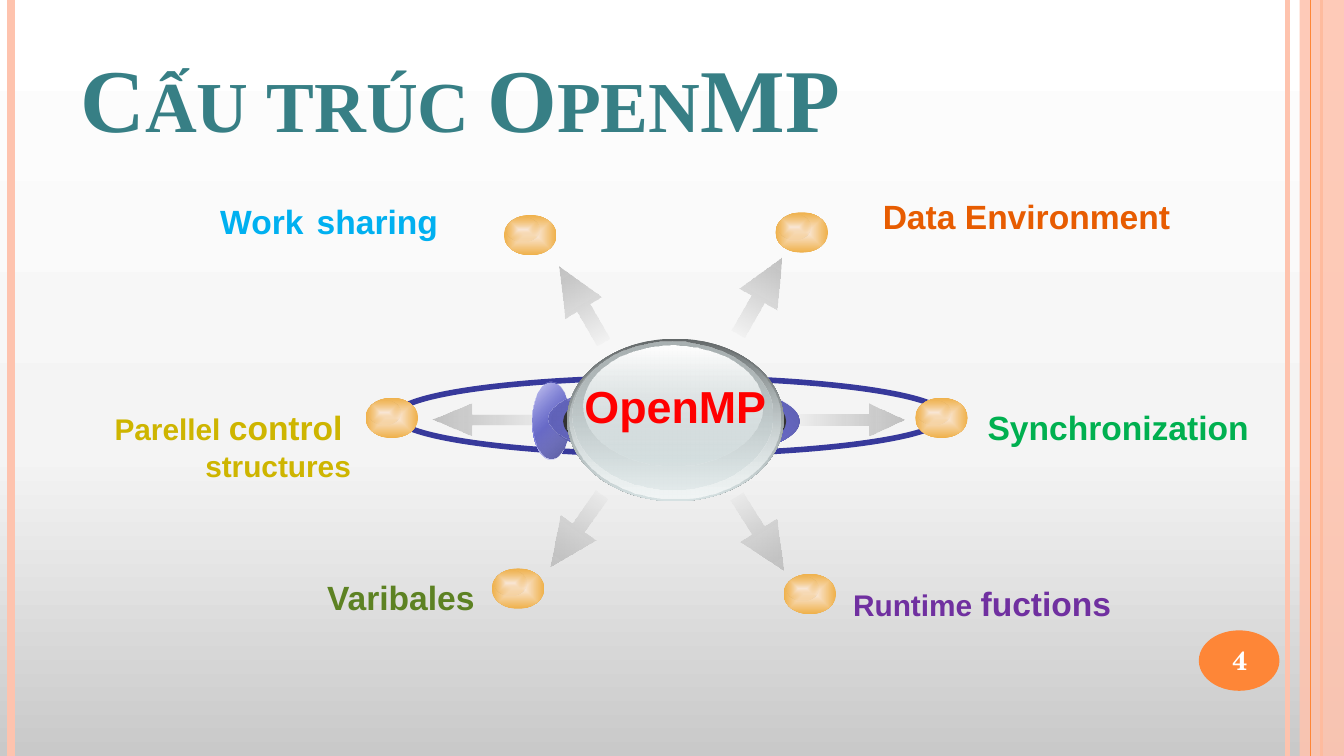
from lxml.etree import SubElement
from pptx import Presentation
from pptx.dml.color import RGBColor
from pptx.enum.shapes import MSO_CONNECTOR, MSO_SHAPE
from pptx.enum.text import MSO_ANCHOR, PP_ALIGN
from pptx.oxml.ns import qn
from pptx.util import Inches, Pt

WIDTH = 10
HEIGHT = WIDTH * 9 / 16
COLORS = {
    "peach": "FEC3AE", "orange": "FE8637", "teal": "377F85", "ring": "37399B",
    "white": "FFFFFF", "red": "FF0000", "sky": "00B0F0", "rust": "E75C01",
    "green": "00B050", "purple": "7030A0", "mustard": "CEB500", "olive": "5D8223",
    "dark": "333333", "gold": "EFB049", "cream": "FAE8D8", "silver": "C0C0C0",
    "gray": "B7B7B7", "violet": "7476DC", "indigo": "53549D", "blue": "595AA8",
    "iris": "5F61B5", "slate": "636869", "mist": "D6E1E2", "frost": "F1F5F5",
    "steel": "AAB2B3", "floor": "C9C9C9", "haze": "F4F4F4",
}

# Gradient stops: position, color, opacity (percent)
BACKDROP = [(0, "floor", 100), (40, "haze", 100), (100, "white", 100)]
ARROW_FADE = [(0, "gray", 0), (100, "silver", 100)]
BEAD = [(0, "cream", 100), (100, "gold", 100)]
BEAD_SHINE = [(0, "cream", 100), (100, "gold", 0)]

# Vertical border lines: x, color, width
BORDER_LINES = [(9.58, "peach", 3), (0.08, "peach", 4.5), (9.83, "orange", 1.5)]
INNER_LINE = (9.75, "orange", 0.75)

# Arrows: left, top, width, height, rotation, head length
ARROWS = [
    (5.33, 2.04, 0.65, 0.32, 299.6, 1.11),
    (5.33, 3.81, 0.65, 0.32, 57.8, 1.11),
    (4, 2.1, 0.65, 0.32, 239.5, 1.11),
    (3.96, 3.79, 0.65, 0.32, 125.6, 1.11),
    (5.86, 3, 0.87, 0.24, 0, 1.11),
    (3.22, 3, 0.94, 0.24, 180, 1.21),
]
BEADS = [(3.75, 1.6), (2.72, 2.96), (3.66, 4.23), (5.77, 1.58), (6.81, 2.96), (5.83, 4.27)]

# Layers of the hub: box, gradient stops, angle
HUB_BACK = [
    ((3.96, 2.85, 0.28, 0.57), [(0, "white", 100), (50, "violet", 100), (100, "white", 100)], 45),
    ((3.96, 2.84, 0.28, 0.57), [(0, "violet", 32), (100, "indigo", 100)], 45),
    ((4.1, 2.85, 1.85, 0.57), [(0, "blue", 100), (50, "violet", 100), (100, "blue", 100)], 315),
    ((4.08, 2.83, 1.85, 0.57), [(0, "iris", 100), (100, "violet", 0)], 45),
]
HUB_SHADE = (4.19, 2.85, 1.66, 0.57)
HUB_GLASS = [
    ((4.22, 2.52, 1.61, 1.21), [(0, "slate", 100), (100, "mist", 100)], 90),
    ((4.24, 2.53, 1.57, 1.18), [(0, "mist", 0), (100, "frost", 100)], 90),
    ((4.26, 2.54, 1.49, 1.1), [(0, "steel", 100), (100, "mist", 48)], 90),
    ((4.34, 2.57, 1.33, 0.89), [(0, "white", 100), (100, "mist", 38)], 90),
]

# Labels: box, color, alignment, paragraphs of (text, size, font) runs
LABELS = [
    ((1.54, 1.31, 1.85, 0.55), "sky", PP_ALIGN.LEFT,
     [[("Work", 18, "Arial"), (" ", 28, "Times New Roman"), ("sharing", 18, "Arial")]]),
    ((4.24, 2.77, 1.57, 0.5), "red", PP_ALIGN.CENTER, [[("OpenMP", 24, "Arial")]]),
    ((6.47, 1.41, 2.36, 0.4), "rust", PP_ALIGN.LEFT, [[("Data Environment", 18, "Arial")]]),
    ((7.25, 2.98, 2.17, 0.4), "green", PP_ALIGN.LEFT, [[("Synchronization", 18, "Arial")]]),
    ((6.25, 4.29, 2.14, 0.4), "purple", PP_ALIGN.LEFT,
     [[("Runtime ", 16, "Arial"), ("fuctions", 18, "Arial")]]),
    ((0.73, 2.98, 1.98, 0.67), "mustard", PP_ALIGN.RIGHT,
     [[("Parellel ", 16, "Arial"), ("control", 18, "Arial"), (" ", 16, "Arial")],
      [("structures", 16, "Arial")]]),
    ((2.31, 4.24, 1.32, 0.4), "olive", PP_ALIGN.RIGHT, [[("Varibales", 18, "Arial")]]),
]


def rgb(name):
    return RGBColor.from_string(COLORS[name])


def add_color(parent, name, opacity):
    color = SubElement(parent, qn("a:srgbClr"), val=COLORS[name])
    if opacity < 100:
        SubElement(color, qn("a:alpha"), val=str(opacity * 1000))


def set_gradient(fill, element, stops, angle=None):
    """Fill with gradient stops: linear at a clockwise angle, or from the centre if None."""
    fill.solid()
    solid = element.find(".//" + qn("a:solidFill"))
    gradient = solid.makeelement(qn("a:gradFill"), {"rotWithShape": "1"})
    stop_list = SubElement(gradient, qn("a:gsLst"))
    for position, name, opacity in stops:
        stop = SubElement(stop_list, qn("a:gs"), pos=str(position * 1000))
        add_color(stop, name, opacity)
    if angle is None:
        center = SubElement(gradient, qn("a:path"), path="shape")
        SubElement(center, qn("a:fillToRect"), dict.fromkeys("ltrb", "50000"))
    else:
        SubElement(gradient, qn("a:lin"), ang=str(angle * 60000), scaled="0")
    solid.getparent().replace(solid, gradient)


def add_shape(slide, kind, box, color=None, stops=None, angle=None):
    shape = slide.shapes.add_shape(kind, *map(Inches, box))
    shape.shadow.inherit = False
    shape.line.fill.background()
    if stops:
        set_gradient(shape.fill, shape.element, stops, angle)
    elif color:
        shape.fill.solid()
        shape.fill.fore_color.rgb = rgb(color)
    else:
        shape.fill.background()
    return shape


def add_border_line(slide, x, color, width):
    line = slide.shapes.add_connector(
        MSO_CONNECTOR.STRAIGHT, Inches(x), 0, Inches(x), Inches(HEIGHT))
    line.line.color.rgb = rgb(color)
    line.line.width = Pt(width)
    SubElement(line.element.spPr, qn("a:effectLst"))


def add_text(slide, box, color, alignment, paragraphs, anchor=MSO_ANCHOR.TOP, wrap=False):
    frame = slide.shapes.add_textbox(*map(Inches, box)).text_frame
    frame.word_wrap = wrap
    frame.vertical_anchor = anchor
    for index, runs in enumerate(paragraphs):
        paragraph = frame.add_paragraph() if index else frame.paragraphs[0]
        paragraph.alignment = alignment
        for text, size, font in runs:
            run = paragraph.add_run()
            run.text = text
            run.font.size = Pt(size)
            run.font.name = font
            run.font.bold = True
            run.font.color.rgb = rgb(color)
    return frame


def add_frame(slide):
    for line in BORDER_LINES:
        add_border_line(slide, *line)
    band = add_shape(slide, MSO_SHAPE.RECTANGLE, (9.67, 0, 0.33, HEIGHT), "peach")
    band_color = band.element.find(".//" + qn("a:srgbClr"))
    SubElement(band_color, qn("a:alpha"), val="87000")
    add_border_line(slide, *INNER_LINE)
    add_shape(slide, MSO_SHAPE.OVAL, (8.92, 4.69, 0.6, 0.45), "orange")
    title = add_text(slide, (0.5, 0.23, 8.17, 0.94), "teal", PP_ALIGN.LEFT,
                     [[("Cấu trúc OpenMP", 48, "Times New Roman")]], MSO_ANCHOR.BOTTOM, True)
    title.paragraphs[0].runs[0].font._element.set("cap", "small")
    add_text(slide, (8.89, 4.7, 0.67, 0.43), "white", PP_ALIGN.CENTER,
             [[("4", 14, "TeX Gyre Schola")]], MSO_ANCHOR.MIDDLE, True)


def add_diagram(slide):
    for *box, rotation, head in ARROWS:
        arrow = add_shape(slide, MSO_SHAPE.RIGHT_ARROW, box, stops=ARROW_FADE, angle=0)
        arrow.rotation = rotation
        arrow.adjustments[0] = 0.35
        arrow.adjustments[1] = head
    ring = add_shape(slide, MSO_SHAPE.OVAL, (2.94, 2.81, 4.09, 0.57))
    ring.line.color.rgb = rgb("ring")
    ring.line.width = Pt(3)
    for left, top in BEADS:
        add_shape(slide, MSO_SHAPE.OVAL, (left, top, 0.39, 0.3), stops=BEAD)
        add_shape(slide, MSO_SHAPE.OVAL, (left + 0.02, top + 0.02, 0.24, 0.18), stops=BEAD_SHINE)
    for box, stops, angle in HUB_BACK:
        add_shape(slide, MSO_SHAPE.OVAL, box, stops=stops, angle=angle)
    add_shape(slide, MSO_SHAPE.OVAL, HUB_SHADE, "dark")
    for box, stops, angle in HUB_GLASS:
        add_shape(slide, MSO_SHAPE.OVAL, box, stops=stops, angle=angle)
    for label in LABELS:
        add_text(slide, *label)


def main():
    presentation = Presentation()
    presentation.slide_width = Inches(WIDTH)
    presentation.slide_height = Inches(HEIGHT)
    slide = presentation.slides.add_slide(presentation.slide_layouts[6])
    set_gradient(slide.background.fill, slide.element, BACKDROP, 270)
    add_frame(slide)
    add_diagram(slide)
    presentation.save("out.pptx")


if __name__ == "__main__":
    main()
